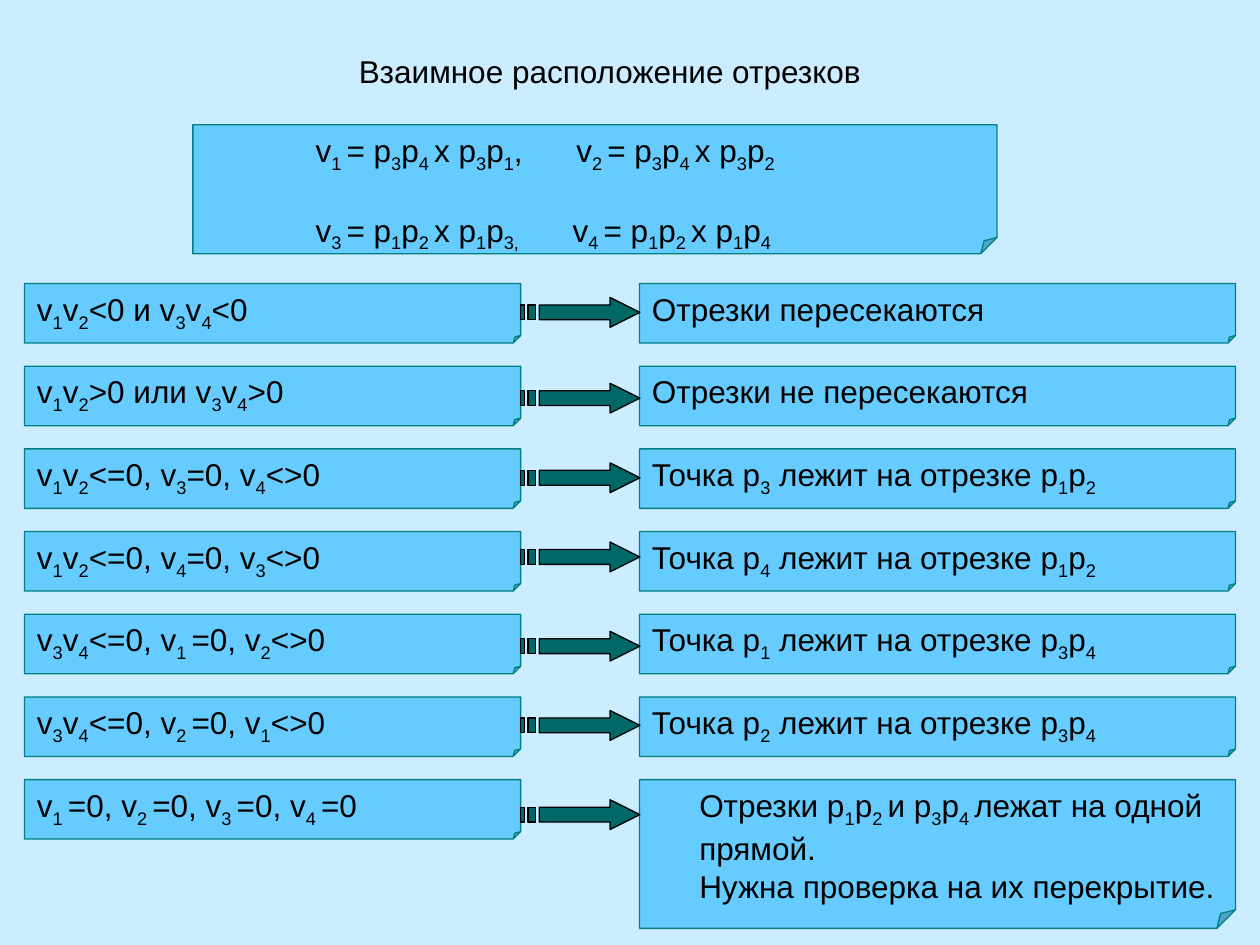
from lxml import etree
from pptx import Presentation
from pptx.dml.color import RGBColor
from pptx.enum.shapes import MSO_SHAPE
from pptx.enum.text import MSO_ANCHOR, MSO_AUTO_SIZE, PP_ALIGN
from pptx.oxml.ns import qn
from pptx.util import Pt

NOTE = MSO_SHAPE.FOLDED_CORNER
TOP = MSO_ANCHOR.TOP
FIXED = MSO_AUTO_SIZE.NONE
LEFT, CENTER = PP_ALIGN.LEFT, PP_ALIGN.CENTER

FONT, SIZE = "Arial", 18
INDENT = 27
FIRST, PITCH, HIGH = 162, 47.25, 34
CELL = 2.13  # arrow grid: 32 cells long, 8 cells high

# Text between bars alternates: normal|subscript|normal ...
TITLE = "Взаимное расположение отрезков"
VECTORS = [
    "\t\tv|1 |= p|3|p|4 |x p|3|p|1|,\t v|2 |= p|3|p|4 |x p|3|p|2",
    "\t\tv|3 |= p|1|p|2 |x p|1|p|3,\t |v|4 |= p|1|p|2 |x p|1|p|4",
]
# Condition, outcome, top of the arrow
CASES = [
    ("v|1|v|2|<0 и v|3|v|4|<0", ["Отрезки пересекаются"], 170),
    ("v|1|v|2|>0 или v|3|v|4|>0", ["Отрезки не пересекаются"], 219),
    ("v|1|v|2|<=0, v|3|=0, v|4|<>0",
     ["Точка р|3| лежит на отрезке р|1|р|2"], 264.5),
    ("v|1|v|2|<=0, v|4|=0, v|3|<>0",
     ["Точка р|4| лежит на отрезке р|1|р|2"], 309.75),
    ("v|3|v|4|<=0, v|1 |=0, v|2|<>0",
     ["Точка р|1| лежит на отрезке р|3|р|4"], 360.75),
    ("v|3|v|4|<=0, v|2 |=0, v|1|<>0",
     ["Точка р|2| лежит на отрезке р|3|р|4"], 406),
    ("v|1 |=0, v|2 |=0, v|3 |=0, v|4 |=0",
     ["\tОтрезки р|1|р|2 |и р|3|р|4 |лежат на одной прямой.",
      "\tНужна проверка на их перекрытие."], 457),
]


def color(code):
    return RGBColor.from_string(code)


def style(shape, fill, line):
    shape.shadow.inherit = False
    shape.fill.solid()
    shape.fill.fore_color.rgb = color(fill)
    shape.line.color.rgb = color(line)
    shape.line.width = Pt(0.75)


def set_font(run):
    run.font.name = FONT
    run.font.size = Pt(SIZE)
    run.font.color.rgb = color("000000")


def set_tabs(para):
    """Give a hanging indent and a tab stop at every inch."""
    props = para._p.get_or_add_pPr()
    props.set("marL", str(Pt(INDENT)))
    props.set("indent", str(-Pt(INDENT)))
    tabs = etree.SubElement(props, qn("a:tabLst"))
    for inch in range(8):
        etree.SubElement(tabs, qn("a:tab"), pos=str(Pt(72 * inch)), algn="l")


def set_fold(note):
    """Fold an eighth of the corner; the library lists no adjustment for it."""
    guides = next(note._element.iter(qn("a:avLst")))
    etree.SubElement(guides, qn("a:gd"), name="adj", fmla="val 12500")


def add_line(para, text, gap):
    para.alignment = LEFT
    para.space_before = Pt(gap)
    set_tabs(para)
    for i, part in enumerate(text.split("|")):
        if not part:
            continue
        run = para.add_run()
        run.text = part
        set_font(run)
        if i % 2:
            run.font._element.set("baseline", "-25000")


def add_note(slide, x, y, w, h, lines, gap=0):
    note = slide.shapes.add_shape(NOTE, Pt(x), Pt(y), Pt(w), Pt(h))
    set_fold(note)
    style(note, "66CCFF", "008080")
    frame = note.text_frame
    frame.word_wrap = True
    frame.vertical_anchor = TOP
    for i, text in enumerate(lines):
        para = frame.add_paragraph() if i else frame.paragraphs[0]
        add_line(para, text, gap if i else 0)


def add_arrow(slide, x, y):
    """Draw a right arrow whose tail is two stripes."""
    pen = slide.shapes.build_freeform(24, 0, scale=Pt(CELL))
    pen.add_line_segments(
        [(24, 2), (5, 2), (5, 6), (24, 6), (24, 8), (32, 4)])
    for near, far in ((2, 4), (0, 1)):
        pen.move_to(near, 2)
        pen.add_line_segments([(near, 6), (far, 6), (far, 2)])
    style(pen.convert_to_shape(Pt(x), Pt(y)), "006866", "000000")


def add_title(slide):
    title = slide.shapes.title
    title.left, title.top = Pt(76.5), Pt(26)
    title.width, title.height = Pt(544), Pt(39.5)
    frame = title.text_frame
    frame.text = TITLE
    frame.auto_size = FIXED
    frame.word_wrap = False
    frame.vertical_anchor = TOP
    para = frame.paragraphs[0]
    para.alignment = CENTER
    set_font(para.runs[0])


def main():
    deck = Presentation()
    deck.slide_width, deck.slide_height = Pt(720), Pt(540)
    slide = deck.slides.add_slide(deck.slide_layouts[5])
    back = slide.background.fill
    back.solid()
    back.fore_color.rgb = color("CCECFF")

    add_title(slide)
    add_note(slide, 110.25, 71.25, 459.5, 73.75, VECTORS, gap=21)
    for i, (test, result, top) in enumerate(CASES):
        y = FIRST + i * PITCH
        high = HIGH if len(result) == 1 else 85
        add_note(slide, 14, y, 283.5, HIGH, [test])
        add_note(slide, 365.5, y, 340.5, high, result)
        add_arrow(slide, 297.5, top)
    deck.save("out.pptx")


if __name__ == "__main__":
    main()
